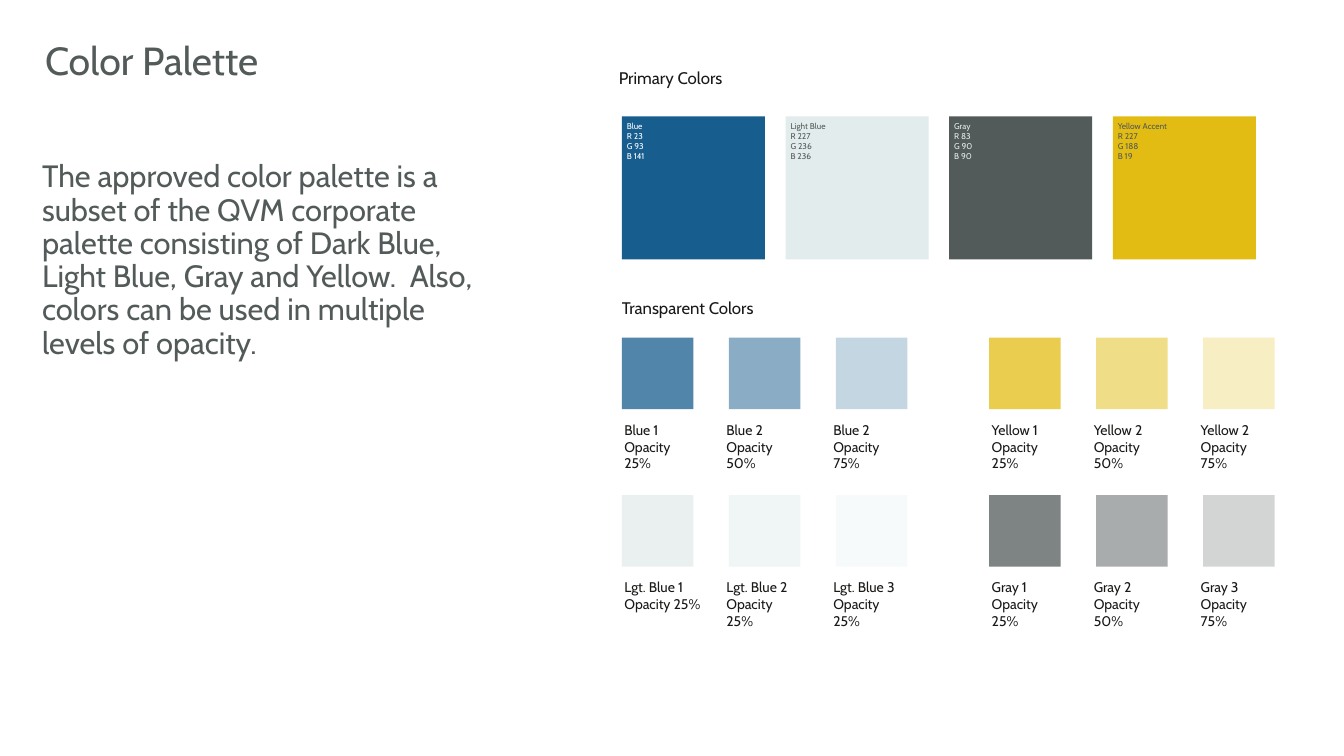
"""Build the color palette slide."""
from lxml import etree
from pptx import Presentation, util as u
from pptx.dml.color import RGBColor
from pptx.enum import shapes, text
from pptx.oxml.ns import qn

THEME = {
    "font": "Cabin",
    "color": {"blue": "175D8D", "light": "E3ECEC", "gray": "535A5A",
              "gold": "E3BC13", "ink": "1A1918", "white": "FFFFFF"},
    "size": {"title": 28, "body": 22, "head": 12, "label": 10, "code": 6},
}
TITLE = "Color Palette"
BODY = ("The approved color palette is a subset of the QVM corporate palette "
        "consisting of Dark Blue, Light Blue, Gray and Yellow.  Also, colors "
        "can be used in multiple levels of opacity.")
HEADS = [("Primary Colors", 442, 48.2), ("Transparent Colors", 444.2, 212.4)]
MAIN = [
    ("blue", "white", 51, ["Blue", "R 23", "G 93", "B 141"]),
    ("light", "gray", 51, ["Light Blue", "R 227", "G 236", "B 236"]),
    ("gray", "light", 58, ["Gray", "R 83", "G 90", "B 90"]),
    ("gold", "gray", 73, ["Yellow Accent", "R 227", "G 188", "B 19"]),
]
TINTS = [
    ("blue", [("Blue 1", 25, 52), ("Blue 2", 50, 52), ("Blue 2", 75, 52)]),
    ("gold", [("Yellow 1", 25, 52), ("Yellow 2", 50, 52),
              ("Yellow 2", 75, 52)]),
    ("light", [("Lgt. Blue 1", 25, 63), ("Lgt. Blue 2", 25, 56),
               ("Lgt. Blue 3", 25, 56)]),
    ("gray", [("Gray 1", 25, 52), ("Gray 2", 50, 52), ("Gray 3", 75, 52)]),
]
ALPHAS = (75, 50, 25)
SHIFTS = (-1.8, -5.3, -5.3)
LEFT = 444.2


def paint(name):
    """Return a theme color."""
    return RGBColor.from_string(THEME["color"][name])


def swatch(slide, left, top, side, color, alpha=100):
    """Add a plain color square."""
    box = slide.shapes.add_shape(shapes.MSO_SHAPE.RECTANGLE, u.Pt(left),
                                 u.Pt(top), u.Pt(side), u.Pt(side))
    box.shadow.inherit = False
    box.line.fill.background()
    box.fill.solid()
    box.fill.fore_color.rgb = paint(color)
    if alpha < 100:
        tone = box.fill._xPr.find(".//" + qn("a:srgbClr"))
        etree.SubElement(tone, qn("a:alpha"), val=str(alpha * 1000))


def write(slide, area, lines, size, color, pads=(3.6, 3.6), tight=False):
    """Add a text box with one paragraph per line."""
    box = slide.shapes.add_textbox(*map(u.Pt, area))
    frame = box.text_frame
    frame.word_wrap = True
    frame.vertical_anchor = text.MSO_ANCHOR.TOP
    frame.margin_left = frame.margin_right = u.Pt(pads[0])
    frame.margin_top = frame.margin_bottom = u.Pt(pads[1])
    frame.text = "\n".join(lines)
    for para in frame.paragraphs:
        para.font.name = THEME["font"]
        para.font.size = u.Pt(THEME["size"][size])
        para.font.color.rgb = paint(color)
        if tight:
            para.line_spacing = 0.9
            para.space_before = u.Pt(10)


def main():
    """Lay out the slide and save it."""
    deck = Presentation()
    deck.slide_width, deck.slide_height = u.Pt(960), u.Pt(540)
    slide = deck.slides.add_slide(deck.slide_layouts[6])

    write(slide, (25.2, 25.9, 669.6, 44.6), [TITLE], "title", "gray",
          (7.2, 3.6), True)
    write(slide, (23, 111.6, 342, 176.4), [BODY], "body", "gray",
          (7.2, 3.6), True)
    for name, left, top in HEADS:
        write(slide, (left, top, 454.3, 34.6), [name], "head", "ink", (0, 0))

    for col, (fill, ink, width, lines) in enumerate(MAIN):
        left = LEFT + col * 116.9
        swatch(slide, left, 83.1, 102.2, fill)
        write(slide, (left, 83, width, 57), lines, "code", ink)

    for item, (fill, tints) in enumerate(TINTS):
        row, half = divmod(item, 2)
        top = 241.2 + row * 112.4
        for col, (name, level, width) in enumerate(tints):
            left = LEFT + half * 262.4 + col * 76.4
            swatch(slide, left, top, 51.1, fill, ALPHAS[col])
            write(slide, (left + SHIFTS[col], top + 56.2, width, 53.3),
                  [name, f"Opacity {level}%"], "label", "ink")

    deck.save("out.pptx")


if __name__ == "__main__":
    main()
